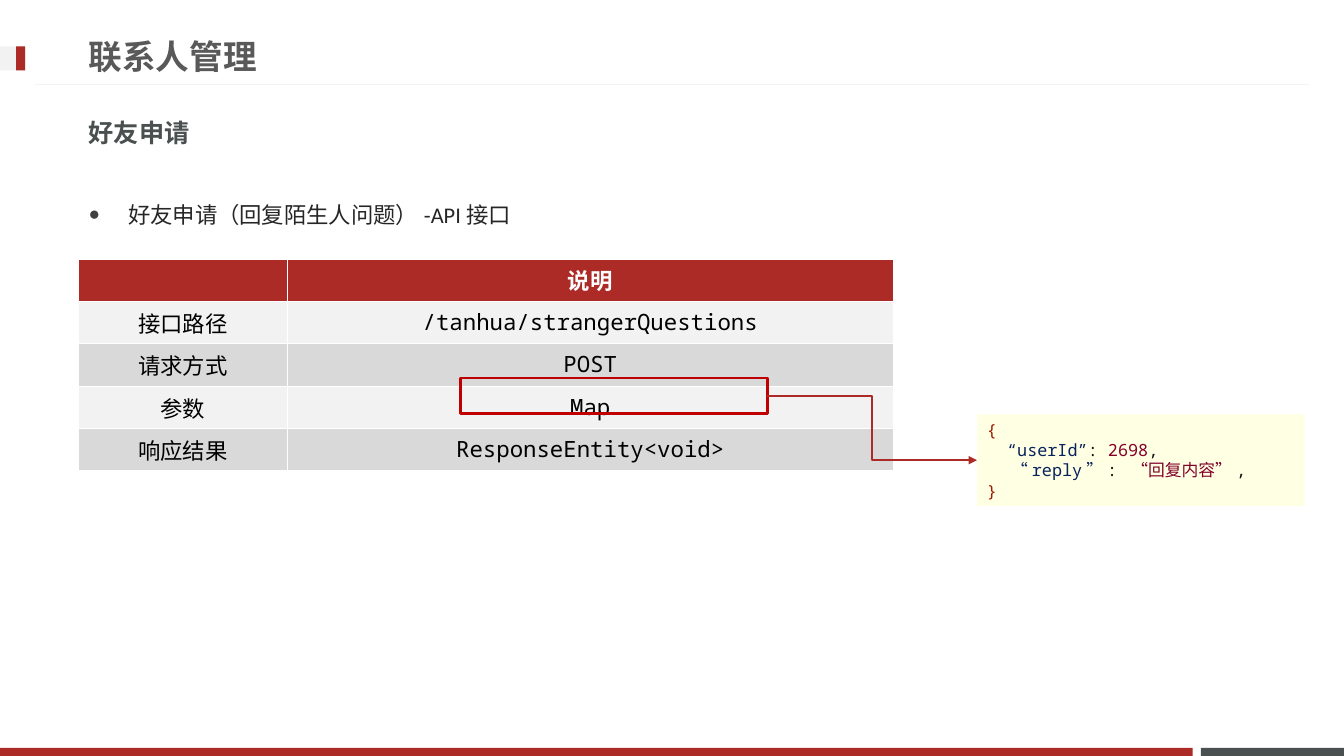
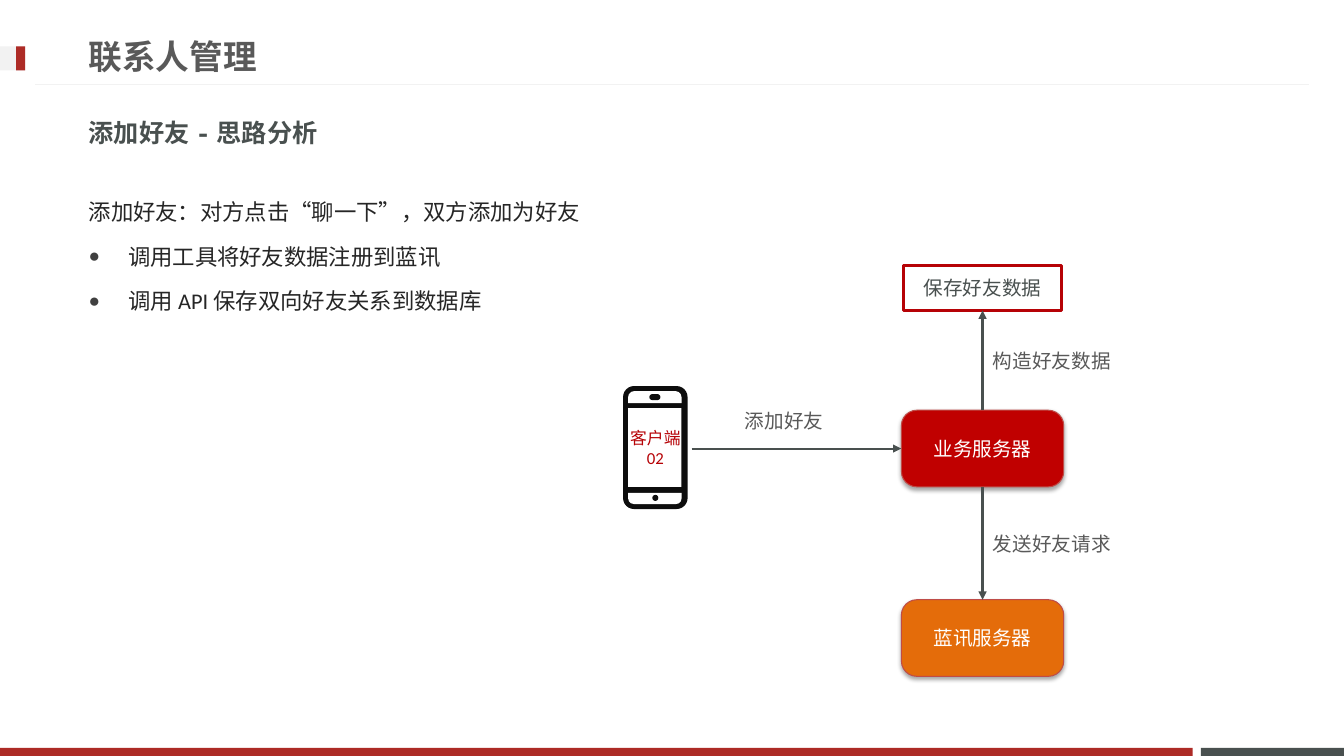
import lxml.etree
import pptx
import pptx.dml.color
import pptx.enum.shapes
import pptx.enum.text
import pptx.oxml.ns
import pptx.util

Inches = pptx.util.Inches
Pt = pptx.util.Pt
RGBColor = pptx.dml.color.RGBColor
qn = pptx.oxml.ns.qn
SubElement = lxml.etree.SubElement
MSO_SHAPE = pptx.enum.shapes.MSO_SHAPE
MSO_CONNECTOR = pptx.enum.shapes.MSO_CONNECTOR
MSO_ANCHOR = pptx.enum.text.MSO_ANCHOR
MSO_AUTO_SIZE = pptx.enum.text.MSO_AUTO_SIZE
PP_ALIGN = pptx.enum.text.PP_ALIGN

RED = RGBColor(0xAD, 0x2B, 0x26)
DEEP_RED = RGBColor(0xC0, 0x00, 0x00)
CRIMSON = RGBColor(0xB6, 0x02, 0x06)
ROSE = RGBColor(0xBF, 0x4C, 0x48)
ORANGE = RGBColor(0xE4, 0x6C, 0x0A)
SLATE = RGBColor(0x49, 0x50, 0x4F)
GREY = RGBColor(0x59, 0x59, 0x59)
INK = RGBColor(0x26, 0x26, 0x26)
BLACK = RGBColor(0x00, 0x00, 0x00)
PHONE = RGBColor(0x0D, 0x0D, 0x0D)
WHITE = RGBColor(0xFF, 0xFF, 0xFF)
PALE = RGBColor(0xF2, 0xF2, 0xF2)
SILVER = RGBColor(0xD9, 0xD9, 0xD9)
CREAM = RGBColor(0xFF, 0xFF, 0xE4)
CODE_BRACE = RGBColor(0x9C, 0x1A, 0x00)
CODE_KEY = RGBColor(0x08, 0x22, 0x5C)
CODE_MARK = RGBColor(0x11, 0x11, 0x11)
CODE_VALUE = RGBColor(0x82, 0x01, 0x28)
SANS = "Calibri"
MONO = "Noto Sans Mono"


def write(p, text, size, color, font=MONO, bold=False):
    r = p.add_run()
    r.text = text
    r.font.size = Pt(size)
    r.font.color.rgb = color
    r.font.name = font
    r.font.bold = bold


def block(shapes, kind, box, fill=None, line=None, width=0.75):
    sp = shapes.add_shape(kind, *[Inches(v) for v in box])
    sp.shadow.inherit = False
    if fill is None:
        sp.fill.background()
    else:
        sp.fill.solid()
        sp.fill.fore_color.rgb = fill
    if line is None:
        sp.line.fill.background()
    else:
        sp.line.color.rgb = line
        sp.line.width = Pt(width)
    sp.text_frame.vertical_anchor = MSO_ANCHOR.MIDDLE
    sp.text_frame.word_wrap = True
    return sp


prs = pptx.Presentation()
prs.slide_width = Inches(13.33)
prs.slide_height = Inches(7.5)
layout = prs.slide_layouts[3]

frames = [(0.78, 0.27, 9.59, 0.57), (0.78, 1.03, 11.76, 0.57), (0.78, 1.78, 11.76, 4.61)]
for ph, box in zip(layout.placeholders, frames):
    ph.left, ph.top, ph.width, ph.height = [Inches(v) for v in box]

pages = [
    ("好友申请", 1.81, 7.83, 0.57, [("好友申请（回复陌生人问题）-API接口", True)]),
    ("添加好友-思路分析", 1.78, 11.76, 4.61, [
        ("添加好友：对方点击“聊一下”，双方添加为好友", False),
        ("调用工具将好友数据注册到蓝讯", True),
        ("调用API保存双向好友关系到数据库", True),
    ]),
]
for subtitle, top, width, height, items in pages:
    s = prs.slides.add_slide(layout)
    title, heading, body = s.placeholders
    body.left, body.top = Inches(0.78), Inches(top)
    body.width, body.height = Inches(width), Inches(height)
    for ph in (title, heading, body):
        ph.text_frame.auto_size = MSO_AUTO_SIZE.NONE
        ph.text_frame.word_wrap = True
    for ph in (title, heading):
        ph.text_frame.vertical_anchor = MSO_ANCHOR.MIDDLE

    p = title.text_frame.paragraphs[0]
    p.alignment = PP_ALIGN.LEFT
    write(p, "联系人管理", 24, GREY, bold=True)

    p = heading.text_frame.paragraphs[0]
    p.space_before = Pt(0)
    pPr = p._p.get_or_add_pPr()
    pPr.set("marL", "0")
    pPr.set("indent", "0")
    SubElement(pPr, qn("a:buNone"))
    write(p, subtitle, 18, SLATE, bold=True)

    for i, (text, bulleted) in enumerate(items):
        p = body.text_frame.add_paragraph() if i else body.text_frame.paragraphs[0]
        p.line_spacing = 1.5
        if i == 0:
            p.space_before = Pt(0)
        pPr = p._p.get_or_add_pPr()
        indent = Inches(0.39) if bulleted else 0
        pPr.set("marL", str(indent))
        pPr.set("indent", str(-indent))
        if bulleted:
            SubElement(SubElement(pPr, qn("a:buClr")), qn("a:srgbClr")).set("val", "404040")
            SubElement(pPr, qn("a:buSzPct")).set("val", "85000")
            SubElement(pPr, qn("a:buChar")).set("char", "●")
        else:
            SubElement(pPr, qn("a:buNone"))
        write(p, text, 16, INK, SANS)

s, flow = prs.slides
bands = [
    block(s.shapes, MSO_SHAPE.RECTANGLE, box, fill)
    for box, fill in [
        ((11.91, 7.42, 1.42, 0.08), SLATE),
        ((0, 7.42, 11.83, 0.08), RED),
        ((0, 0.46, 0.25, 0.24), PALE),
        ((0.16, 0.46, 0.09, 0.24), RED),
    ]
]
rule = s.shapes.add_connector(
    MSO_CONNECTOR.STRAIGHT, Inches(0.35), Inches(0.84), Inches(12.98), Inches(0.84))
for i, sp in enumerate(bands + [rule]):
    sp.element.xpath(".//p:cNvPr")[0].set("id", str(20 + i))
    layout.shapes.element.insert(2 + i, sp.element)
connectors = [(rule, PALE, 0.75, False)]

rows = [
    ("", "说明"),
    ("接口路径", "/tanhua/strangerQuestions"),
    ("请求方式", "POST"),
    ("参数", "Map"),
    ("响应结果", "ResponseEntity<void>"),
]
table = s.shapes.add_table(
    len(rows), 2, Inches(0.78), Inches(2.57), Inches(8.08), Inches(2.1)).table
table.columns[0].width = Inches(2.07)
table.columns[1].width = Inches(6.01)
for i, texts in enumerate(rows):
    table.rows[i].height = Inches(0.42 if i else 0.4)
    for j, text in enumerate(texts):
        cell = table.cell(i, j)
        cell.fill.solid()
        cell.fill.fore_color.rgb = (PALE if i % 2 else SILVER) if i else RED
        p = cell.text_frame.paragraphs[0]
        p.alignment = PP_ALIGN.CENTER
        if text:
            write(p, text, 16, BLACK if i else WHITE, bold=i == 0)

highlight = block(s.shapes, MSO_SHAPE.RECTANGLE, (4.57, 3.75, 3.04, 0.35), None, DEEP_RED, 2)
code = block(s.shapes, MSO_SHAPE.RECTANGLE, (9.69, 4.11, 3.25, 0.91), CREAM)
code_lines = [
    [("{", CODE_BRACE)],
    [("  ", CODE_MARK), ("“userId”", CODE_KEY), (": ", CODE_MARK),
     ("2698", CODE_VALUE), (",", CODE_MARK)],
    [("  ", CODE_MARK), ("“reply”", CODE_KEY), (": ", CODE_MARK),
     ("“回复内容”", CODE_VALUE), (",", CODE_MARK)],
    [("}", CODE_BRACE)],
]
for i, runs in enumerate(code_lines):
    p = code.text_frame.add_paragraph() if i else code.text_frame.paragraphs[0]
    p.alignment = PP_ALIGN.LEFT
    for text, color in runs:
        write(p, text, 12, color)
cxn = s.shapes.add_connector(MSO_CONNECTOR.ELBOW, 0, 0, 0, 0)
cxn.begin_connect(highlight, 3)
cxn.end_connect(code, 1)
connectors.append((cxn, RED, 1.5, True))

phone = flow.shapes.add_group_shape()
phone_parts = [
    (MSO_SHAPE.ROUNDED_RECTANGLE, (6.18, 3.83, 0.64, 1.22), PHONE, 0.17, 0),
    (MSO_SHAPE.ROUND_2_SAME_RECTANGLE, (6.23, 3.88, 0.53, 0.12), WHITE, 0.5, 0),
    (MSO_SHAPE.RECTANGLE, (6.23, 4.05, 0.53, 0.78), WHITE, None, 0),
    (MSO_SHAPE.ROUND_2_SAME_RECTANGLE, (6.23, 4.89, 0.53, 0.11), WHITE, 0.5, 180),
    (MSO_SHAPE.ROUNDED_RECTANGLE, (6.44, 3.91, 0.11, 0.06), PHONE, 0.5, 0),
    (MSO_SHAPE.OVAL, (6.47, 4.91, 0.06, 0.06), PHONE, None, 0),
]
for kind, box, fill, radius, turn in phone_parts:
    sp = block(phone.shapes, kind, box, fill)
    sp.rotation = turn
    if radius:
        sp.adjustments[0] = radius
tb = phone.shapes.add_textbox(Inches(6.14), Inches(4.26), Inches(0.72), Inches(0.36))
tf = tb.text_frame
tf.word_wrap = True
tf.vertical_anchor = MSO_ANCHOR.MIDDLE
tf.margin_left = tf.margin_right = tf.margin_top = tf.margin_bottom = 0
for p, text in [(tf.paragraphs[0], "客户端"), (tf.add_paragraph(), "02")]:
    p.alignment = PP_ALIGN.CENTER
    write(p, text, 12, CRIMSON, SANS)

servers = []
for text, top, fill in [("业务服务器", 4.07, DEEP_RED), ("蓝讯服务器", 5.95, ORANGE)]:
    sp = block(flow.shapes, MSO_SHAPE.ROUNDED_RECTANGLE, (8.94, top, 1.61, 0.76), fill, ROSE)
    sp.adjustments[0] = 0.2
    shadow = SubElement(sp.element.spPr.find(qn("a:effectLst")), qn("a:outerShdw"))
    for key, value in [("blurRad", Pt(3.1)), ("dist", Pt(1.8)), ("dir", 5400000), ("rotWithShape", 0)]:
        shadow.set(key, str(value))
    tint = SubElement(shadow, qn("a:srgbClr"))
    tint.set("val", "000000")
    SubElement(tint, qn("a:alpha")).set("val", "35000")
    p = sp.text_frame.paragraphs[0]
    p.alignment = PP_ALIGN.CENTER
    write(p, text, 14, WHITE, SANS)
    servers.append(sp)
main_server, chat_server = servers

store = block(flow.shapes, MSO_SHAPE.RECTANGLE, (8.96, 2.63, 1.57, 0.45), None, CRIMSON, 2)
p = store.text_frame.paragraphs[0]
p.alignment = PP_ALIGN.CENTER
write(p, "保存好友数据", 14, SLATE)

for begin, end, site in [(None, main_server, 1), (main_server, chat_server, 0), (main_server, store, 2)]:
    cxn = flow.shapes.add_connector(
        MSO_CONNECTOR.STRAIGHT, Inches(6.86), Inches(4.45), Inches(8.94), Inches(4.45))
    if begin is not None:
        cxn.begin_connect(begin, 2 - site)
    cxn.end_connect(end, site)
    connectors.append((cxn, SLATE, 1.5, True))

for text, left, top, width in [
    ("添加好友", 7.29, 4.01, 0.99),
    ("发送好友请求", 9.75, 5.23, 1.38),
    ("构造好友数据", 9.75, 3.41, 1.38),
]:
    tb = flow.shapes.add_textbox(Inches(left), Inches(top), Inches(width), Inches(0.34))
    tb.text_frame.word_wrap = False
    write(tb.text_frame.paragraphs[0], text, 14, GREY)

for cxn, color, width, arrow in connectors:
    cxn.line.color.rgb = color
    cxn.line.width = Pt(width)
    spPr = cxn.element.spPr
    if arrow:
        SubElement(spPr.find(qn("a:ln")), qn("a:tailEnd")).set("type", "triangle")
    SubElement(spPr, qn("a:effectLst"))

prs.save("out.pptx")
